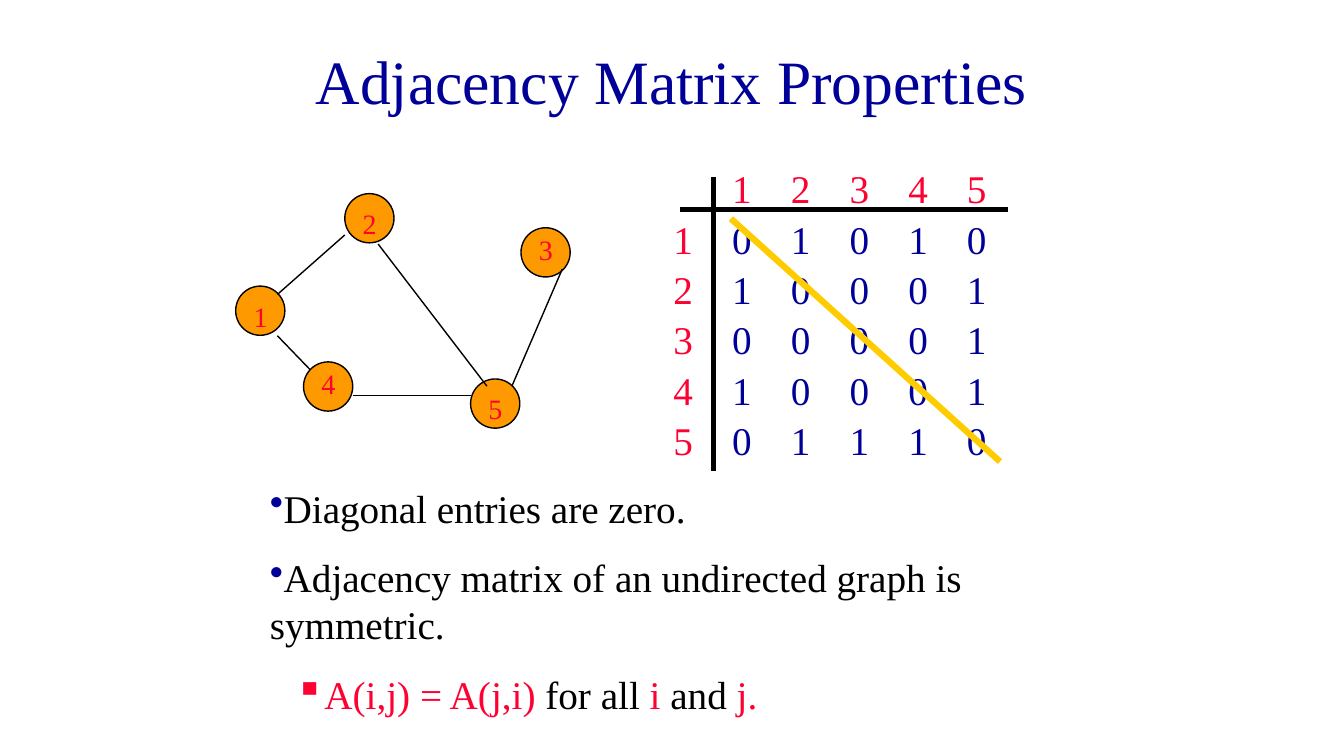
from lxml import etree
from pptx import Presentation
from pptx.dml.color import RGBColor
from pptx.enum.shapes import MSO_CONNECTOR, MSO_SHAPE
from pptx.enum.text import MSO_ANCHOR, PP_ALIGN
from pptx.oxml.ns import qn
from pptx.util import Cm, Pt

LINE = MSO_CONNECTOR.STRAIGHT
OVAL = MSO_SHAPE.OVAL
MIDDLE = MSO_ANCHOR.MIDDLE
CENTER = PP_ALIGN.CENTER

FONT = "Times New Roman"
NAVY = RGBColor(0x00, 0x00, 0x99)
RED = RGBColor(0xFF, 0x00, 0x33)
ORANGE = RGBColor(0xFF, 0x99, 0x00)
GOLD = RGBColor(0xFF, 0xCC, 0x00)
BLACK = RGBColor(0x00, 0x00, 0x00)

TITLE = "Adjacency Matrix Properties"
NODES = [
    ("1", 5.94, 7.21, 0.2),
    ("2", 8.69, 4.88, 0.2),
    ("3", 13.13, 5.74, 0),
    ("4", 7.65, 9.12, 0),
    ("5", 11.86, 9.55, 0.2),
]
EDGES = [
    (8.69, 5.92, 6.99, 7.42),
    (9.53, 6.15, 12.27, 9.73),
    (6.99, 8.46, 7.82, 9.32),
    (14.17, 6.78, 12.9, 9.73),
    (8.89, 9.96, 11.86, 9.96),
]
MATRIX = [
    " 12345",
    "101010",
    "210001",
    "300001",
    "410001",
    "501110",
]
AXES = [(17.15, 5.28, 25.4, 5.28), (17.98, 4.45, 17.98, 11.86)]
DIAGONAL = (18.42, 5.51, 25.2, 11.63)
NOTES = [
    (0, "•", NAVY, [("Diagonal entries are zero.", BLACK)]),
    (0, "•", NAVY, [("Adjacency matrix of an undirected graph is symmetric.", BLACK)]),
    (1, "▪", RED, [("A(i,j) = A(j,i) ", RED), ("for all ", BLACK), ("i ", RED),
                   ("and ", BLACK), ("j.", RED)]),
]

NODE = 1.24
GRID_X, GRID_Y = 16.72, 4.02
STEP_X, STEP_Y = 1.48, 1.27


def style(para, size, color=None):
    para.font.name = FONT
    para.font.size = Pt(size)
    if color is not None:
        para.font.color.rgb = color


def add_box(x, y, w, h):
    frame = slide.shapes.add_textbox(Cm(x), Cm(y), Cm(w), Cm(h)).text_frame
    frame.word_wrap = True
    return frame


def add_digit(text, x, y, w, h, size, color):
    para = add_box(x, y, w, h).paragraphs[0]
    para.text = text
    style(para, size, color)


def add_line(ends, color, width):
    line = slide.shapes.add_connector(LINE, *[Cm(v) for v in ends])
    line.line.color.rgb = color
    line.line.width = Pt(width)
    etree.SubElement(line._element.spPr, qn("a:effectLst"))


def add_bullet(para, level, mark, color):
    props = para._p.get_or_add_pPr()
    props.set("marL", str(Cm(1.27 * level)))
    props.set("indent", str(-Cm(0.63 * level)))
    tint = etree.SubElement(props, qn("a:buClr"))
    etree.SubElement(tint, qn("a:srgbClr")).set("val", str(color))
    etree.SubElement(props, qn("a:buChar")).set("char", mark)


prs = Presentation()
prs.slide_width, prs.slide_height = Cm(33.87), Cm(19.05)
slide = prs.slides.add_slide(prs.slide_layouts[5])

title = slide.shapes.title
title.left, title.top, title.width, title.height = Cm(2.54), Cm(0.43), Cm(28.78), Cm(3.18)
title.text_frame.text = TITLE
title.text_frame.vertical_anchor = MIDDLE
head = title.text_frame.paragraphs[0]
head.alignment = CENTER
style(head, 44, NAVY)

for name, x, y, drop in NODES:
    node = slide.shapes.add_shape(OVAL, Cm(x), Cm(y), Cm(NODE), Cm(NODE))
    node.shadow.inherit = False
    node.fill.solid()
    node.fill.fore_color.rgb = ORANGE
    node.line.color.rgb = BLACK
    node.line.width = Pt(1)

for edge in EDGES:
    add_line(edge, BLACK, 1)

for name, x, y, drop in NODES:
    add_digit(name, x + 0.2, y + drop, 0.64, 1.12, 20, RED)

for row, digits in enumerate(MATRIX):
    for col, digit in enumerate(digits):
        if digit != " ":
            label = row == 0 or col == 0
            add_digit(digit, GRID_X + col * STEP_X, GRID_Y + row * STEP_Y,
                      1.27 if label else 0.84, 1.45, 28, RED if label else NAVY)

for axis in AXES:
    add_line(axis, BLACK, 4)
add_line(DIAGONAL, GOLD, 4.5)

notes = add_box(6.55, 12.07, 22.1, 6.25)
for i, (level, mark, tint, parts) in enumerate(NOTES):
    para = notes.add_paragraph() if i else notes.paragraphs[0]
    para.level = level
    add_bullet(para, level, mark, tint)
    if i:
        para.space_before = Pt(16)
    style(para, 28)
    for text, color in parts:
        run = para.add_run()
        run.text = text
        run.font.color.rgb = color

prs.save("out.pptx")
